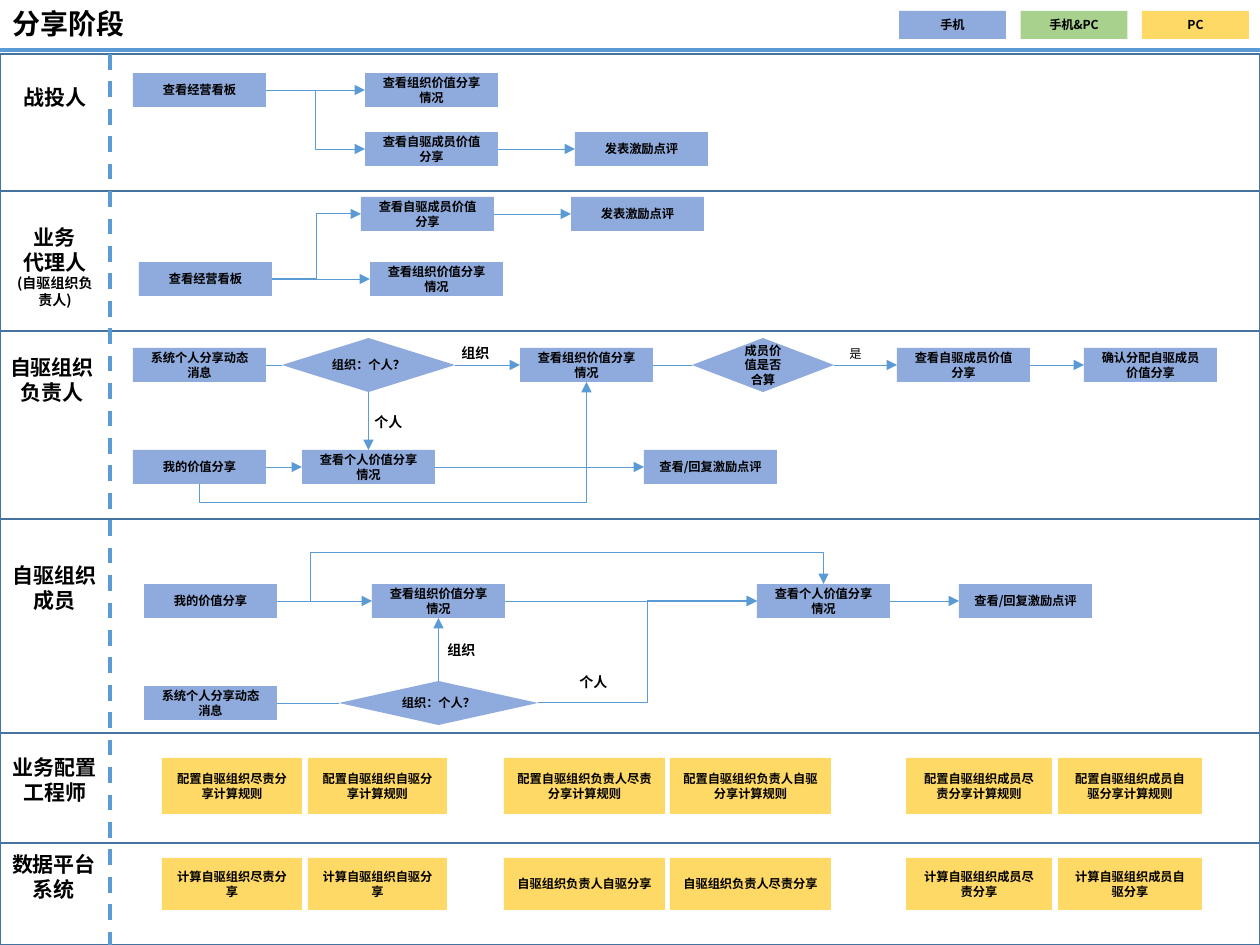
"""Build the sharing-stage swimlane flowchart slide."""
from lxml import etree
from pptx import Presentation
from pptx.dml.color import RGBColor
from pptx.enum.dml import MSO_LINE
from pptx.enum.shapes import MSO_CONNECTOR, MSO_SHAPE
from pptx.enum.text import MSO_ANCHOR, PP_ALIGN
from pptx.oxml.ns import qn
from pptx.util import Emu, Pt

RECTANGLE, DIAMOND = MSO_SHAPE.RECTANGLE, MSO_SHAPE.DIAMOND
STRAIGHT, ELBOW = MSO_CONNECTOR.STRAIGHT, MSO_CONNECTOR.ELBOW
LEFT, CENTER = PP_ALIGN.LEFT, PP_ALIGN.CENTER
TOP_ANCHOR, MIDDLE_ANCHOR = MSO_ANCHOR.TOP, MSO_ANCHOR.MIDDLE
DASH = MSO_LINE.DASH
TOP, LEFT_SIDE, BOTTOM, RIGHT_SIDE = range(4)

FONT = "Noto Sans CJK SC"
BLUE, GREEN, YELLOW = "8FAADC", "A9D18E", "FFD966"
LANE_LINE, FLOW_LINE, BLACK = "43739E", "5B9BD5", "000000"
WIDTH, HEIGHT = 1260, 945
NODE_WIDTH, NODE_HEIGHT = 133, 34

TITLE = "分享阶段"
LEGEND = [("手机", BLUE), ("手机&PC", GREEN), ("PC", YELLOW)]

# label, small note, label left, label top, lane top
LANES = [
    ("战投人", "", 0, 78, 54),
    ("业务\n代理人", "(自驱组织负责人)", 0, 218, 191),
    ("自驱组织负责人", "", -3, 348, 331),
    ("自驱组织成员", "", 0, 556, 519),
    ("业务配置工程师", "", 0, 748, 733),
    ("数据平台系统", "", -1, 845, 843),
]

NODES = {
    "investor board": ("查看经营看板", 133, 73),
    "investor group": ("查看组织价值分享情况", 365, 73),
    "investor member": ("查看自驱成员价值分享", 365, 132),
    "investor review": ("发表激励点评", 575, 132),
    "agent member": ("查看自驱成员价值分享", 361, 197),
    "agent review": ("发表激励点评", 571, 197),
    "agent board": ("查看经营看板", 139, 262),
    "agent group": ("查看组织价值分享情况", 370, 262),
    "leader message": ("系统个人分享动态消息", 133, 348),
    "leader group": ("查看组织价值分享情况", 520, 348),
    "leader member": ("查看自驱成员价值分享", 897, 348),
    "leader confirm": ("确认分配自驱成员价值分享", 1084, 348),
    "leader own": ("我的价值分享", 133, 450),
    "leader personal": ("查看个人价值分享情况", 302, 450),
    "leader reply": ("查看/回复激励点评", 644, 450),
    "member own": ("我的价值分享", 144, 584),
    "member group": ("查看组织价值分享情况", 372, 584),
    "member personal": ("查看个人价值分享情况", 757, 584),
    "member reply": ("查看/回复激励点评", 959, 584),
    "member message": ("系统个人分享动态消息", 144, 686),
}

# text, left, top, width, height, wrap
DECISIONS = {
    "leader choice": ("组织：个人？", 282, 338, 173, 54, False),
    "leader check": ("成员价值是否合算", 692, 338, 142, 54, True),
    "member choice": ("组织：个人？", 339, 681, 199, 44, False),
}

# left, width, configuration text, calculation text
RULES = [
    (162, 140, "配置自驱组织尽责分享计算规则", "计算自驱组织尽责分享"),
    (308, 139, "配置自驱组织自驱分享计算规则", "计算自驱组织自驱分享"),
    (504, 161, "配置自驱组织负责人尽责分享计算规则", "自驱组织负责人自驱分享"),
    (670, 161, "配置自驱组织负责人自驱分享计算规则", "自驱组织负责人尽责分享"),
    (906, 146, "配置自驱组织成员尽责分享计算规则", "计算自驱组织成员尽责分享"),
    (1058, 144, "配置自驱组织成员自驱分享计算规则", "计算自驱组织成员自驱分享"),
]
RULE_ROWS = [(758, 56), (858, 52)]

# start, end, arrow
ACROSS = [
    ("investor board", "investor group", True),
    ("investor member", "investor review", True),
    ("agent board", "agent group", True),
    ("agent member", "agent review", True),
    ("leader message", "leader choice", False),
    ("leader choice", "leader group", True),
    ("leader group", "leader check", False),
    ("leader check", "leader member", True),
    ("leader member", "leader confirm", True),
    ("leader own", "leader personal", True),
    ("leader personal", "leader reply", True),
    ("member own", "member group", True),
    ("member group", "member personal", True),
    ("member personal", "member reply", True),
    ("member message", "member choice", False),
]
VERTICAL = [
    ("leader choice", BOTTOM, "leader personal", TOP),
    ("member choice", TOP, "member group", BOTTOM),
]
# start, side, end, side, preset, adjustments in 1/100000
BENT = [
    ("investor board", RIGHT_SIDE, "investor member", LEFT_SIDE, "bentConnector3", [50000]),
    ("agent board", RIGHT_SIDE, "agent member", LEFT_SIDE, "bentConnector3", [50000]),
    ("member choice", RIGHT_SIDE, "member personal", LEFT_SIDE, "bentConnector3", [50000]),
    ("member own", RIGHT_SIDE, "member personal", TOP, "bentConnector4", [6200, 287000]),
    ("leader own", BOTTOM, "leader group", BOTTOM, "bentConnector3", [-17900]),
]

# text, left, top, width, size, bold
BRANCH_LABELS = [
    ("组织", 449, 338, 59, 8, True),
    ("个人", 362, 407, 59, 8, True),
    ("是", 837, 340, 38, 7, False),
    ("组织", 435, 635, 59, 8, True),
    ("个人", 567, 667, 59, 8, True),
]


def px(value):
    return Emu(round(value * 914400 / 126))


def color(value):
    return RGBColor.from_string(value)


def write_text(shape, text, size=7, bold=True, align=CENTER, anchor=MIDDLE_ANCHOR,
               wrap=True, note="", note_size=8, spacing=None):
    frame = shape.text_frame
    frame.word_wrap = wrap
    frame.vertical_anchor = anchor
    lines = [(line, size) for line in text.split("\n")]
    if note:
        lines.append((note, note_size))
    for index, (line, points) in enumerate(lines):
        paragraph = frame.add_paragraph() if index else frame.paragraphs[0]
        paragraph.alignment = align
        paragraph.line_spacing = spacing
        run = paragraph.add_run()
        run.text = line
        run.font.size, run.font.bold, run.font.name = Pt(points), bold, FONT
        run.font.color.rgb = color(BLACK)
        etree.SubElement(run.font._element, qn("a:ea"), typeface=FONT)


def add_box(slide, left, top, width, height, fill=None, line=None, kind=RECTANGLE):
    shape = slide.shapes.add_shape(kind, px(left), px(top), px(width), px(height))
    shape.shadow.inherit = False
    if fill:
        shape.fill.solid()
        shape.fill.fore_color.rgb = color(fill)
    else:
        shape.fill.background()
    if line:
        shape.line.color.rgb = color(line)
        shape.line.width = Pt(1)
    else:
        shape.line.fill.background()
    return shape


def add_label(slide, text, left, top, width, height, **text_format):
    box = slide.shapes.add_textbox(px(left), px(top), px(width), px(height))
    write_text(box, text, **text_format)


def add_line(slide, start, end, kind=STRAIGHT, width=0.5, arrow=False):
    connector = slide.shapes.add_connector(kind, *start, *end)
    connector.line.color.rgb = color(FLOW_LINE)
    connector.line.width = Pt(width)
    if arrow:
        etree.SubElement(connector.line._get_or_add_ln(), qn("a:tailEnd"), type="triangle")
    etree.SubElement(connector._element.spPr, qn("a:effectLst"))
    return connector


def side_point(shape, side):
    across, down = [(0.5, 0), (0, 0.5), (0.5, 1), (1, 0.5)][side]
    return (Emu(round(shape.left + shape.width * across)),
            Emu(round(shape.top + shape.height * down)))


def join(slide, start, start_side, end, end_side, arrow=True):
    connector = add_line(slide, side_point(start, start_side), side_point(end, end_side), arrow=arrow)
    connector.begin_connect(start, start_side)
    connector.end_connect(end, end_side)


def add_bent(slide, start, end, preset, adjustments, upright):
    if upright:
        middle_x, middle_y = (start[0] + end[0]) // 2, (start[1] + end[1]) // 2
        half_x, half_y = abs(end[1] - start[1]) // 2, abs(end[0] - start[0]) // 2
        start = Emu(middle_x + half_x), Emu(middle_y + half_y)
        end = Emu(middle_x - half_x), Emu(middle_y - half_y)
    properties = add_line(slide, start, end, ELBOW, arrow=True)._element.spPr
    if upright:
        properties.find(qn("a:xfrm")).set("rot", "5400000")
    geometry = properties.find(qn("a:prstGeom"))
    geometry.set("prst", preset)
    guides = geometry.find(qn("a:avLst"))
    for number, value in enumerate(adjustments, 1):
        etree.SubElement(guides, qn("a:gd"), name=f"adj{number}", fmla=f"val {value}")


def main():
    presentation = Presentation()
    presentation.slide_width, presentation.slide_height = px(WIDTH), px(HEIGHT)
    slide = presentation.slides.add_slide(presentation.slide_layouts[6])

    add_label(slide, TITLE, 0, 1, 1086, 49, size=16, align=LEFT, anchor=MIDDLE_ANCHOR, spacing=0.9)
    add_line(slide, (px(0), px(50)), (px(WIDTH), px(50)), width=2.25)
    for index, (text, fill) in enumerate(LEGEND):
        write_text(add_box(slide, 899 + index * 121.5, 11, 107, 28, fill), text)

    bottoms = [lane[-1] for lane in LANES[1:]] + [HEIGHT]
    for (text, note, left, label_top, top), bottom in zip(LANES, bottoms):
        add_box(slide, 0, top, WIDTH, bottom - top, line=LANE_LINE)
        add_label(slide, text, left, label_top, 110, 76, size=12, anchor=TOP_ANCHOR, note=note)
    divider = add_line(slide, (px(110), px(54)), (px(110), px(HEIGHT)), width=2.25)
    divider.line.dash_style = DASH

    for left, width, *texts in RULES:
        for text, (top, height) in zip(texts, RULE_ROWS):
            write_text(add_box(slide, left, top, width, height, YELLOW), text)

    steps = {}
    for name, (text, left, top) in NODES.items():
        steps[name] = add_box(slide, left, top, NODE_WIDTH, NODE_HEIGHT, BLUE)
        write_text(steps[name], text)
    for name, (text, left, top, width, height, wrap) in DECISIONS.items():
        steps[name] = add_box(slide, left, top, width, height, BLUE, kind=DIAMOND)
        write_text(steps[name], text, wrap=wrap)

    for start, end, arrow in ACROSS:
        join(slide, steps[start], RIGHT_SIDE, steps[end], LEFT_SIDE, arrow)
    for start, start_side, end, end_side in VERTICAL:
        join(slide, steps[start], start_side, steps[end], end_side)
    for start, start_side, end, end_side, preset, adjustments in BENT:
        add_bent(slide, side_point(steps[start], start_side), side_point(steps[end], end_side),
                 preset, adjustments, start_side == BOTTOM)

    for text, left, top, width, size, bold in BRANCH_LABELS:
        add_label(slide, text, left, top, width, 30, size=size, bold=bold, align=LEFT, anchor=TOP_ANCHOR)
    presentation.save("out.pptx")


if __name__ == "__main__":
    main()
